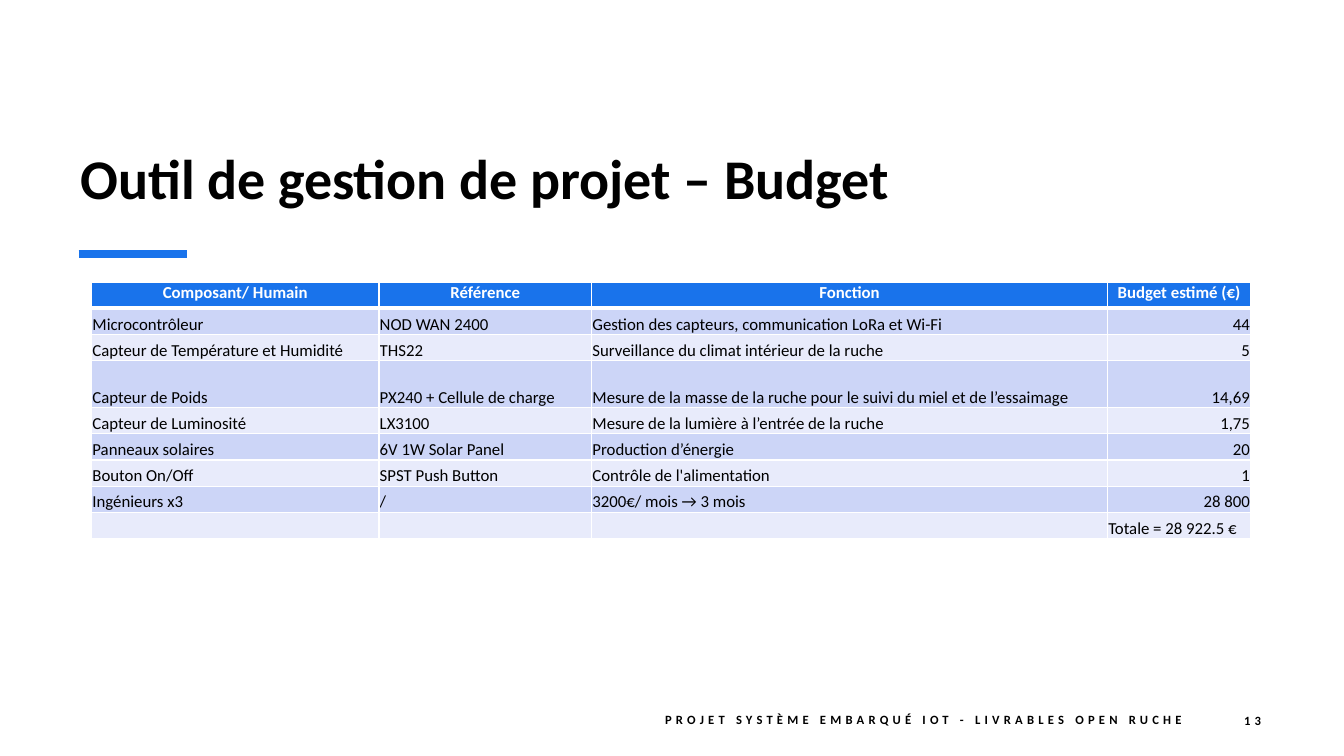
from lxml import etree
from pptx import Presentation
from pptx.dml.color import RGBColor
from pptx.enum.shapes import MSO_CONNECTOR
from pptx.enum.text import MSO_ANCHOR, PP_ALIGN
from pptx.oxml.ns import qn
from pptx.util import Cm, Pt

LEFT, CENTER, RIGHT = PP_ALIGN.LEFT, PP_ALIGN.CENTER, PP_ALIGN.RIGHT
TOP, MIDDLE, BOTTOM = MSO_ANCHOR.TOP, MSO_ANCHOR.MIDDLE, MSO_ANCHOR.BOTTOM
STRAIGHT = MSO_CONNECTOR.STRAIGHT

FONT = "Calibri"
BLACK, WHITE, BLUE = "000000", "FFFFFF", "1973EB"
BANDS = ("CCD5F7", "E8EBFB")

TITLE = "Outil de gestion de projet – Budget"
FOOTER = "PROJET SYSTÈME EMBARQUÉ IOT - LIVRABLES OPEN RUCHE"
PAGE = "13"
BUDGET = [
    ("Composant/ Humain", "Référence", "Fonction", "Budget estimé (€)"),
    ("Microcontrôleur", "NOD WAN 2400", "Gestion des capteurs, communication LoRa et Wi-Fi", "44"),
    ("Capteur de Température et Humidité", "THS22", "Surveillance du climat intérieur de la ruche", "5"),
    ("Capteur de Poids", "PX240 + Cellule de charge",
     "Mesure de la masse de la ruche pour le suivi du miel et de l’essaimage", "14,69"),
    ("Capteur de Luminosité", "LX3100", "Mesure de la lumière à l’entrée de la ruche", "1,75"),
    ("Panneaux solaires", "6V 1W Solar Panel", "Production d’énergie", "20"),
    ("Bouton On/Off", "SPST Push Button", "Contrôle de l'alimentation", "1"),
    ("Ingénieurs x3", "/", "3200€/ mois → 3 mois", "28 800"),
    ("", "", "", "Totale = 28 922.5 €"),
]
COL_WIDTHS = (7.24, 5.36, 13, 3.61)
ROW_HEIGHT, TALL_HEIGHT, TALL_ROW = 0.66, 1.18, 3
LAST_ROW, AMOUNT_COL = len(BUDGET) - 1, len(COL_WIDTHS) - 1


def rgb(color):
    return RGBColor.from_string(color)


def write(tf, text, size, color=BLACK, bold=True, align=LEFT, spacing=0):
    """Fill a text frame with one formatted line; spacing is in points."""
    tf.text = text
    p = tf.paragraphs[0]
    p.alignment = align
    for r in p.runs:
        r.font.name, r.font.size, r.font.bold = FONT, Pt(size), bold
        r.font.color.rgb = rgb(color)
        if spacing:
            r.font._element.set("spc", str(spacing * 100))
    if not text:
        etree.SubElement(p._p, qn("a:endParaRPr"), sz=str(size * 100))
    return p


def add_text(slide, box, text, size, anchor, **style):
    tf = slide.shapes.add_textbox(*map(Cm, box)).text_frame
    tf.word_wrap = True
    tf.vertical_anchor = anchor
    return write(tf, text, size, **style)


def set_borders(cell, top, bottom):
    """Draw white borders, one point wide at the sides."""
    tc_pr = cell._tc.get_or_add_tcPr()
    for side, width in (("L", 1), ("R", 1), ("T", top), ("B", bottom)):
        ln = etree.SubElement(tc_pr, qn(f"a:ln{side}"), w=str(Pt(width)))
        fill = etree.SubElement(ln, qn("a:solidFill"))
        etree.SubElement(fill, qn("a:srgbClr"), val=WHITE)


def add_accent(slide):
    line = slide.shapes.add_connector(STRAIGHT, Cm(1.98), Cm(6.4), Cm(4.7), Cm(6.4))
    line.line.color.rgb = rgb(BLUE)
    line.line.width = Pt(6)
    etree.SubElement(line._element.spPr, qn("a:effectLst"))


def cell_align(row, col):
    if row == 0:
        return CENTER
    return RIGHT if col == AMOUNT_COL and row != LAST_ROW else LEFT


def add_budget(slide):
    heights = [TALL_HEIGHT if i == TALL_ROW else ROW_HEIGHT for i in range(len(BUDGET))]
    table = slide.shapes.add_table(
        len(BUDGET), len(COL_WIDTHS), Cm(2.31), Cm(7.11),
        Cm(sum(COL_WIDTHS)), Cm(sum(heights))).table
    for column, width in zip(table.columns, COL_WIDTHS):
        column.width = Cm(width)
    for i, values in enumerate(BUDGET):
        table.rows[i].height = Cm(heights[i])
        header = i == 0
        for j, value in enumerate(values):
            cell = table.cell(i, j)
            cell.margin_left = cell.margin_right = cell.margin_top = Cm(0.02)
            cell.margin_bottom = 0
            cell.vertical_anchor = TOP if header else BOTTOM
            set_borders(cell, top=3 if i == 1 else 1, bottom=3 if header else 1)
            cell.fill.solid()
            cell.fill.fore_color.rgb = rgb(BLUE if header else BANDS[(i - 1) % 2])
            write(cell.text_frame, value, 12, WHITE if header else BLACK,
                  header, cell_align(i, j))


def main():
    prs = Presentation()
    prs.slide_width, prs.slide_height = Cm(33.87), Cm(19.05)
    slide = prs.slides.add_slide(prs.slide_layouts[6])
    add_text(slide, (1.78, 1.57, 30.25, 3.86), TITLE, 40, BOTTOM)
    add_accent(slide)
    add_budget(slide)
    for left, width, text in ((15.04, 14.98, FOOTER), (30.02, 2.01, PAGE)):
        p = add_text(slide, (left, 17.65, width, 1.02), text, 9, MIDDLE,
                     align=RIGHT, spacing=3)
        p.space_after = Pt(6)
        if text == FOOTER:
            p.line_spacing = 0.9
    prs.save("out.pptx")


if __name__ == "__main__":
    main()
